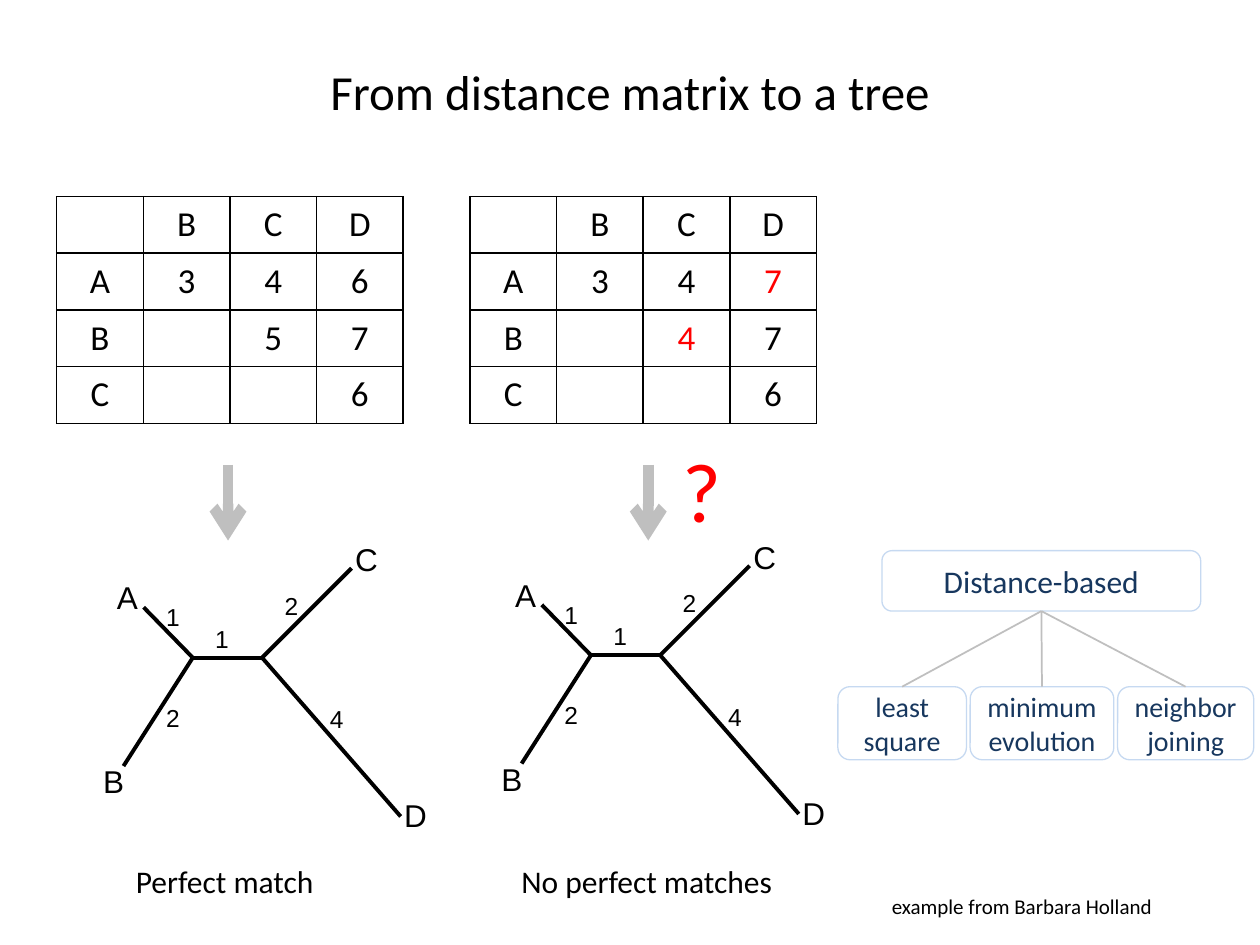
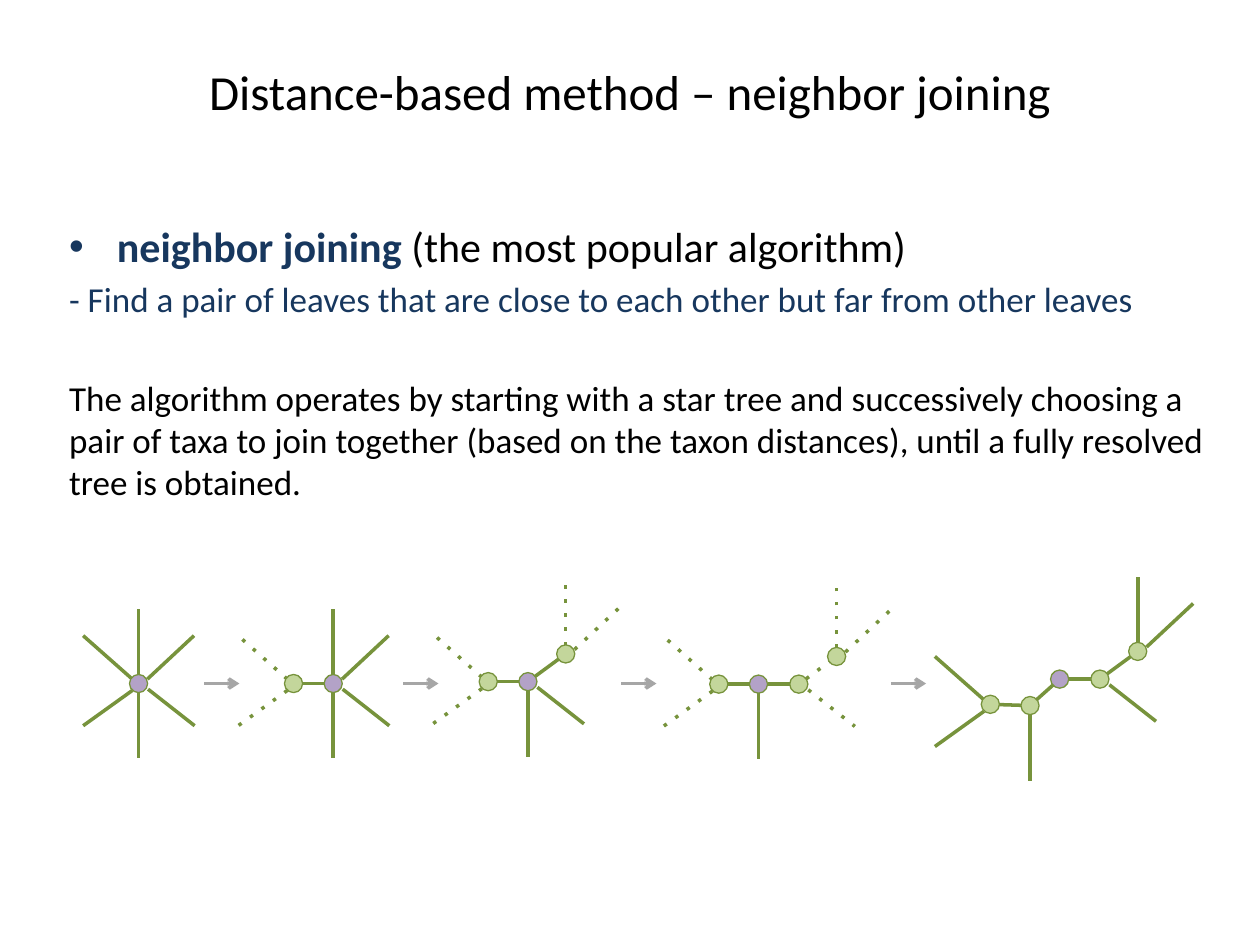
from math import hypot
from lxml import etree
from pptx import Presentation
from pptx.dml.color import RGBColor
from pptx.enum.shapes import MSO_CONNECTOR, MSO_SHAPE
from pptx.enum.text import MSO_ANCHOR, PP_ALIGN
from pptx.oxml.ns import qn
from pptx.util import Inches, Pt

WIDE, HIGH = Inches(10), Inches(7.5)
COL, ROW = WIDE / 100, HIGH / 75
LINE, OVAL, ROUND = MSO_CONNECTOR.STRAIGHT, MSO_SHAPE.OVAL, MSO_SHAPE.ROUNDED_RECTANGLE
LEFT, MID = PP_ALIGN.LEFT, PP_ALIGN.CENTER
TOP, HALF = MSO_ANCHOR.TOP, MSO_ANCHOR.MIDDLE
BLACK, RED, NAVY, SKY = "000000", "FF0000", "17375E", "C6D9F1"
SILVER, GREY = "BFBFBF", "A6A6A6"
GREEN, LIME, PURPLE = "77933C", "C3D69B", "B3A2C7"
BODY, LABEL = "Calibri", "Arial"
RAD = 0.72

RAYS = {
    "N": ((0, -0.7), (0, -5.9)),
    "S": ((0, 0.7), (0, 5.95)),
    "NE": ((0.7, -0.35), (4.4, -3.8)),
    "NW": ((-0.5, -0.35), (-4.4, -3.8)),
    "SE": ((0.75, 0.45), (4.45, 3.35)),
    "SW": ((-0.5, 0.55), (-4.4, 3.35)),
}


def rgb(code):
    return RGBColor.from_string(code)


def place(left, top, wide, high):
    return [round(v) for v in (left * COL, top * ROW, wide * COL, high * ROW)]


def shift(box, spot):
    return box[0] + spot[0], box[1] + spot[1]


def style(para, size, hue=BLACK, face=BODY, align=LEFT):
    para.alignment = align
    para.font.size = Pt(size)
    para.font.name = face
    para.font.color.rgb = rgb(hue)


def text(slide, box, words, size, hue=BLACK, face=BODY, align=LEFT, anchor=TOP, wrap=False):
    frame = slide.shapes.add_textbox(*place(*box)).text_frame
    frame.word_wrap = wrap
    frame.vertical_anchor = anchor
    frame.text = words
    style(frame.paragraphs[0], size, hue, face, align)
    return frame


def link(slide, start, end, hue, width, dots=False, tip=False):
    ends = place(*start, *end)
    line = slide.shapes.add_connector(LINE, *ends)
    line.line.color.rgb = rgb(hue)
    line.line.width = Pt(width)
    props = line._element.spPr
    stroke = props.find(qn("a:ln"))
    if dots:
        etree.SubElement(stroke, qn("a:prstDash"), val="dot")
    if tip:
        etree.SubElement(stroke, qn("a:tailEnd"), type="arrow")
    etree.SubElement(props, qn("a:effectLst"))


def shape(slide, kind, box, edge, fill=None):
    item = slide.shapes.add_shape(kind, *place(*box))
    item.shadow.inherit = False
    if fill:
        item.fill.solid()
        item.fill.fore_color.rgb = rgb(fill)
    else:
        item.fill.background()
    item.line.color.rgb = rgb(edge)
    item.line.width = Pt(0.75)
    return item


def start(deck, title):
    slide = deck.slides.add_slide(deck.slide_layouts[6])
    text(slide, (5, 3, 90, 8.5), title, 28, align=MID, anchor=HALF, wrap=True)
    return slide


def border(cell):
    props = cell._tc.get_or_add_tcPr()
    for side in ("lnL", "lnR", "lnT", "lnB"):
        line = etree.SubElement(props, qn(f"a:{side}"), w=str(Pt(1)))
        fill = etree.SubElement(line, qn("a:solidFill"))
        etree.SubElement(fill, qn("a:srgbClr"), val=BLACK)


def matrix(slide, box, rows, marks=()):
    size = len(rows)
    grid = slide.shapes.add_table(size, size, *place(*box)).table
    grid.first_row = grid.horz_banding = False
    for r, row in enumerate(rows):
        for c, word in enumerate(row):
            cell = grid.cell(r, c)
            border(cell)
            cell.fill.background()
            cell.vertical_anchor = HALF
            cell.text = word
            hue = RED if (r, c) in marks else BLACK
            style(cell.text_frame.paragraphs[0], 20, hue, align=MID)


def tree(slide, box):
    west, east = (8.1, 9.8), (13.6, 9.8)
    edges = [
        ((4.2, 5.8), west), (west, (2.6, 18.4)), (east, (24.6, 22.4)),
        (west, east), (east, (20.7, 2.7)),
    ]
    for a, b in edges:
        link(slide, shift(box, a), shift(box, b), BLACK, 2.25)
    leaves = [("A", 1.1, 3), ("B", 0, 17.6), ("C", 20, 0), ("D", 23.9, 20.3)]
    for name, x, y in leaves:
        text(slide, (*shift(box, (x, y)), 3.8, 4), name, 18, face=LABEL)
    costs = [("1", 5, 4.9), ("1", 8.9, 6.6), ("2", 14.4, 4), ("2", 5, 12.9), ("4", 18, 13)]
    for cost, x, y in costs:
        text(slide, (*shift(box, (x, y)), 3.1, 3.3), cost, 14, face=LABEL)


def button(slide, box, words, size):
    frame = shape(slide, ROUND, box, SKY).text_frame
    frame.word_wrap = True
    frame.vertical_anchor = HALF
    frame.text = words
    style(frame.paragraphs[0], size, NAVY, align=MID)


def methods(slide, box):
    root = shift(box, (3.5, 0))
    button(slide, (*root, 25.3, 4.8), "Distance-based", 18)
    kids = [("least square", 10.2), ("minimum evolution", 11.4), ("neighbor joining", 10.8)]
    left, top = shift(box, (0, 10.8))
    for name, wide in kids:
        button(slide, (left, top, wide, 5.8), name, 16)
        link(slide, shift(root, (12.65, 4.8)), (left + wide / 2, top), SILVER, 1)
        left += wide + 0.3


def compare(deck):
    slide = start(deck, "From distance matrix to a tree")
    exact = [["", "B", "C", "D"], ["A", "3", "4", "6"], ["B", "", "5", "7"], ["C", "", "", "6"]]
    rough = [["", "B", "C", "D"], ["A", "3", "4", "7"], ["B", "", "4", "7"], ["C", "", "", "6"]]
    matrix(slide, (4.5, 15.6, 27.5, 18), exact)
    matrix(slide, (37.3, 15.6, 27.5, 18), rough, {(1, 3), (2, 2)})
    for x in (18.1, 51.45):
        link(slide, (x, 36.9), (x, 42.9), SILVER, 6, tip=True)
    text(slide, (53.2, 34.3, 5.1, 9.1), "?", 48, RED)
    tree(slide, (7.2, 42.4))
    tree(slide, (38.8, 42.2))
    methods(slide, (66.5, 43.7))
    text(slide, (9.8, 67.9, 16.4, 4), "Perfect match", 18)
    text(slide, (40.4, 67.9, 22.2, 4), "No perfect matches", 18)
    text(slide, (69.8, 70.4, 23, 3), "example from Barbara Holland", 12)


def notes(slide, box):
    frame = text(slide, box, "", 24, wrap=True)
    head = frame.paragraphs[0]
    props = head._p.get_or_add_pPr()
    props.set("marL", str(Inches(0.38)))
    props.set("indent", str(-Inches(0.38)))
    props.insert(0, etree.Element(qn("a:buFont"), typeface=LABEL))
    props.insert(1, etree.Element(qn("a:buChar"), char="•"))
    for words, hue, bold in (
        ("neighbor joining ", NAVY, True),
        ("(the most popular algorithm)", BLACK, False),
    ):
        run = head.add_run()
        run.text = words
        run.font.bold = bold
        run.font.color.rgb = rgb(hue)
    rest = [
        ("- Find a pair of leaves that are close to each other but far from other leaves", NAVY, 4),
        ("The algorithm operates by starting with a star tree and successively choosing a "
         "pair of taxa to join together (based on the taxon distances), until a fully "
         "resolved tree is obtained.", BLACK, 32.4),
    ]
    for words, hue, gap in rest:
        para = frame.add_paragraph()
        para.text = words
        para.space_before = Pt(gap)
        style(para, 20, hue)


def stage(slide, box, nodes, rays, joins=(), dots=()):
    spots = {name: shift(box, spot) for name, spot in nodes.items()}
    for name, ways in rays.items():
        for way in ways.split():
            near, far = (shift(spots[name], end) for end in RAYS[way])
            link(slide, near, far, GREEN, 2, f"{name} {way}" in dots)
    for a, b in joins:
        (ax, ay), (bx, by) = spots[a], spots[b]
        part = RAD / hypot(bx - ax, by - ay)
        dx, dy = (bx - ax) * part, (by - ay) * part
        link(slide, (ax + dx, ay + dy), (bx - dx, by - dy), GREEN, 2, f"{a} {b}" in dots)
    for name, (x, y) in spots.items():
        fill = PURPLE if name == "hub" else LIME
        shape(slide, OVAL, (x - RAD, y - RAD, 2 * RAD, 2 * RAD), GREEN, fill)


def steps(slide, box):
    hub, west, east, high = (0, 0), (-3.15, 0), (3.2, 0), (3, -2.2)
    peak = shift(east, high)
    fork = "west NW", "west SW"
    tops = "high N", "high NE"
    stage(slide, box, {"hub": hub}, {"hub": "N S NE NW SE SW"})
    stage(slide, shift(box, (15.45, 0)), {"hub": hub, "west": west},
          {"hub": "N S NE SE", "west": "NW SW"}, [("hub", "west")], fork)
    stage(slide, shift(box, (30.9, -0.15)), {"hub": hub, "west": west, "high": high},
          {"hub": "S SE", "west": "NW SW", "high": "N NE"},
          [("hub", "west"), ("hub", "high")], fork + tops)
    stage(slide, shift(box, (49.2, 0.05)),
          {"hub": hub, "west": west, "east": east, "high": peak},
          {"hub": "S", "west": "NW SW", "east": "SE", "high": "N NE"},
          [("hub", "west"), ("hub", "east"), ("east", "high")],
          fork + tops + ("east SE", "east high"))
    stage(slide, shift(box, (73.1, -0.35)),
          {"hub": hub, "low": (-2.35, 2.1), "west": (-5.5, 2), "east": east, "high": peak},
          {"low": "S", "west": "NW SW", "east": "SE", "high": "N NE"},
          [("hub", "low"), ("low", "west"), ("hub", "east"), ("east", "high")])
    for x in (5.2, 21, 38.3, 59.7):
        link(slide, shift(box, (x, 0)), shift(box, (x + 2.8, 0)), GREY, 2, tip=True)


def joining(deck):
    slide = start(deck, "Distance-based method – neighbor joining")
    notes(slide, (4.5, 17, 93.9, 25.5))
    steps(slide, (11, 54.25))


def main():
    deck = Presentation()
    deck.slide_width, deck.slide_height = WIDE, HIGH
    compare(deck)
    joining(deck)
    deck.save("out.pptx")


if __name__ == "__main__":
    main()
